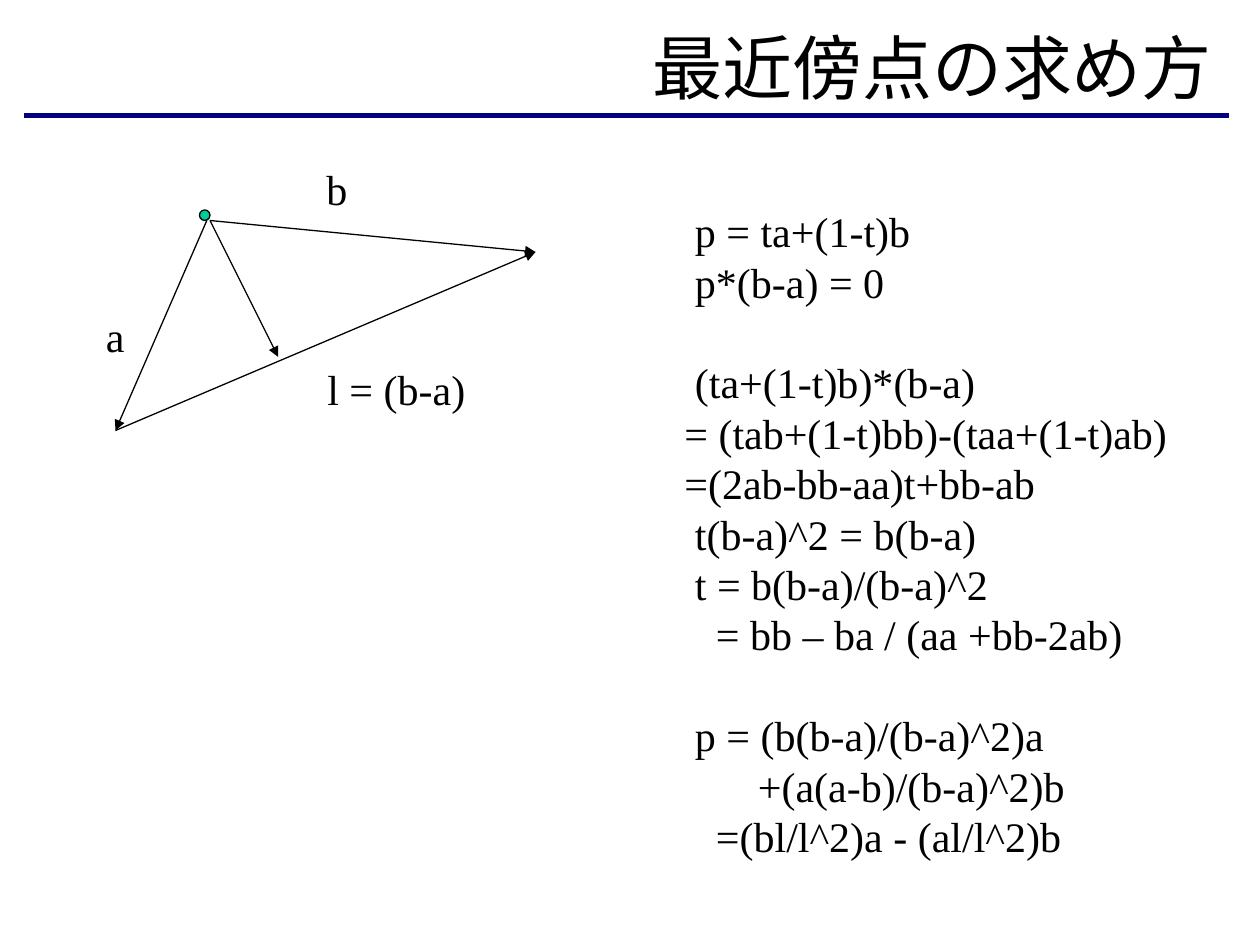
"""Build a slide on finding the nearest point on a line between two vectors."""
from lxml.etree import SubElement
from pptx import Presentation
from pptx.dml.color import RGBColor as Rgb
from pptx.enum.shapes import MSO_CONNECTOR as Link, MSO_SHAPE as Form
from pptx.enum.text import MSO_ANCHOR as Anchor, PP_ALIGN as Align
from pptx.oxml.ns import qn
from pptx.util import Inches, Pt

HUES = {"ink": "000000", "rule": "000080", "dot": "00CC99"}
FONT = "Times New Roman"

deck = Presentation()
deck.slide_width, deck.slide_height = Inches(10), Inches(7.5)
slide = deck.slides.add_slide(deck.slide_layouts[6])
parts = slide.shapes
col, row = deck.slide_width / 120, deck.slide_height / 90


def write(rows, x, y, wide, high, size=24, align=Align.LEFT, anchor=Anchor.TOP,
          wrap=False, pitch=28.8):
    """Write rows of (indent, text, lines skipped before) at a grid place."""
    box = parts.add_textbox(int(x * col), int(y * row), int(wide * col), int(high * row))
    frame = box.text_frame
    frame.word_wrap, frame.vertical_anchor = wrap, anchor
    for i, (dent, text, skip) in enumerate(rows):
        para = frame.add_paragraph() if i else frame.paragraphs[0]
        para.alignment = align
        if pitch:
            para.line_spacing = Pt(pitch)
        if skip:
            para.space_before = Pt(skip * pitch)
        if dent:
            para._p.get_or_add_pPr().set("marL", str(int(dent * col)))
        run = para.add_run()
        run.text = text
        run.font.name, run.font.size = FONT, Pt(size)
        run.font.color.rgb = Rgb.from_string(HUES["ink"])


def draw(start, end, hue="ink", width=0.75, head=True):
    """Draw a line or an arrow between two grid points."""
    (x, y), (u, v) = start, end
    line = parts.add_connector(Link.STRAIGHT, int(x * col), int(y * row),
                               int(u * col), int(v * row))
    line.line.color.rgb = Rgb.from_string(HUES[hue])
    line.line.width = Pt(width)
    if head:
        SubElement(line.line._get_or_add_ln(), qn("a:tailEnd"), type="triangle")
    SubElement(line._element.spPr, qn("a:effectLst"))


draw((2.3, 11), (117, 11), hue="rule", width=3, head=False)
write([(0, "最近傍点の求め方", 0)], 12.2, 2, 104.4, 8.6, size=40,
      align=Align.RIGHT, anchor=Anchor.MIDDLE, wrap=True, pitch=None)

base, tip_a, tip_b, foot = (20, 21), (11, 41), (51, 24), (26.5, 34)
draw(tip_a, tip_b)
draw((19.7, 21), tip_a)

dot = parts.add_shape(Form.OVAL, int(19 * col), int(20 * row), int(col), int(row))
dot.shadow.inherit = False
dot.fill.solid()
dot.fill.fore_color.rgb = Rgb.from_string(HUES["dot"])
dot.line.color.rgb = Rgb.from_string(HUES["ink"])
dot.line.width = Pt(0.75)

for tip in (tip_b, foot):
    draw(base, tip)

for dent, name, x, y, wide in (
    (0, "a", 8.9, 29, 4.2),
    (0, "b", 29.9, 15, 4.3),
    (1, "l = (b-a)", 29, 34, 16.6),
):
    write([(dent, name, 0)], x, y, wide, 6)

steps = [
    (1, "p = ta+(1-t)b", 0),
    (1, "p*(b-a) = 0", 0),
    (1, "(ta+(1-t)b)*(b-a)", 1),
    (0, "= (tab+(1-t)bb)-(taa+(1-t)ab)", 0),
    (0, "=(2ab-bb-aa)t+bb-ab", 0),
    (1, "t(b-a)^2 = b(b-a)", 0),
    (1, "t = b(b-a)/(b-a)^2", 0),
    (3, "= bb – ba / (aa +bb-2ab)", 0),
    (1, "p = (b(b-a)/(b-a)^2)a", 1),
    (7, "+(a(a-b)/(b-a)^2)b", 0),
    (3, "=(bl/l^2)a - (al/l^2)b", 0),
]
write(steps, 64, 19, 48.4, 63.6)

deck.save("out.pptx")
